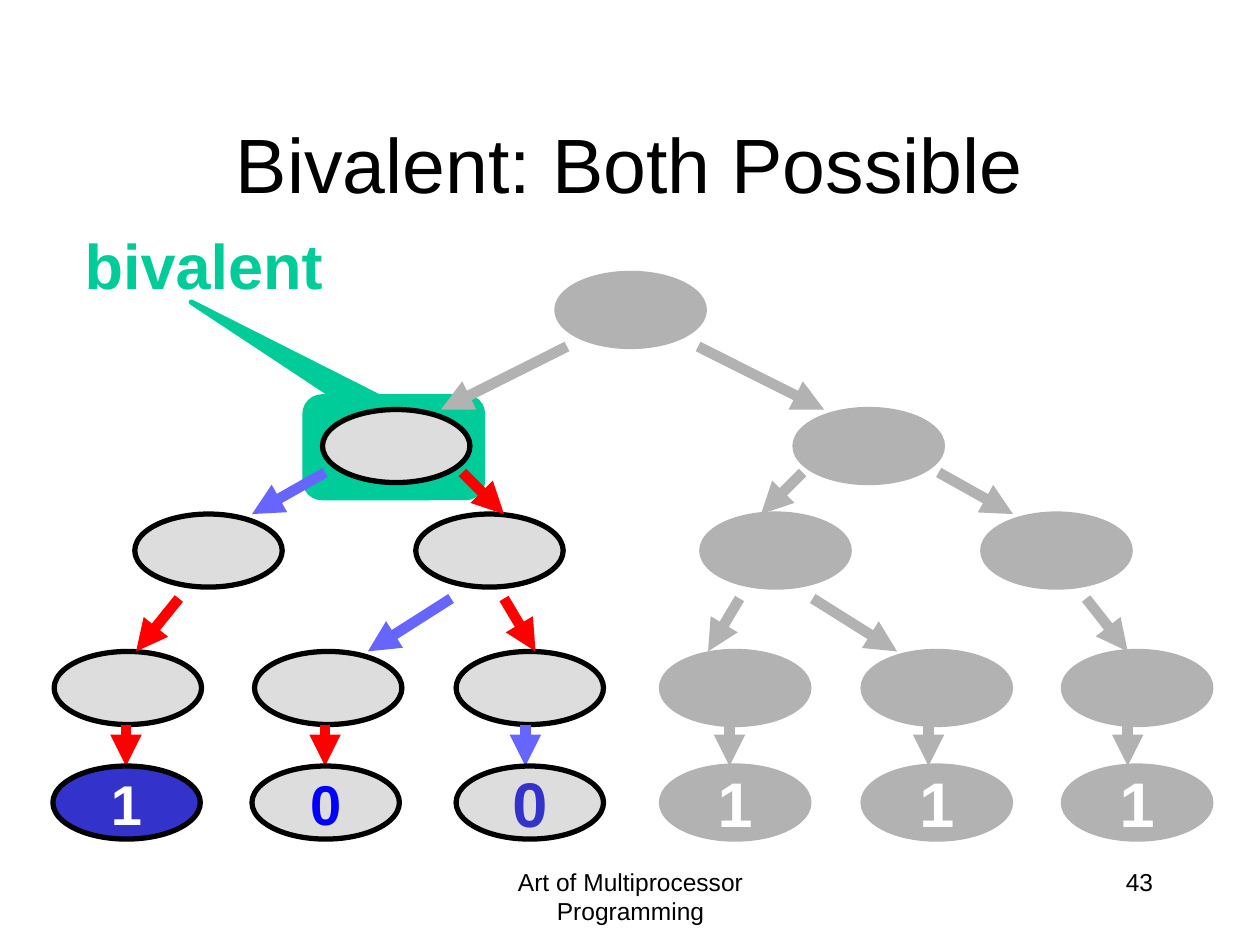
"""Build the slide that shows a bivalent state in a binary protocol tree."""
from dataclasses import dataclass
from typing import Any, Optional

import lxml.etree
import pptx
import pptx.dml.color
import pptx.enum.shapes
import pptx.enum.text
import pptx.oxml.ns
import pptx.util

EMU_PER_PX = 9144
NODE_WIDTH, NODE_HEIGHT = 117, 58
ALIGN = pptx.enum.text.PP_ALIGN
SHAPE = pptx.enum.shapes.MSO_SHAPE


@dataclass(frozen=True)
class Theme:
    font: str = "Arial"
    black: str = "000000"
    white: str = "FFFFFF"
    faded: str = "B2B2B2"
    node: str = "DDDDDD"
    accent: str = "00CC99"
    red: str = "FF0000"
    violet: str = "6666FF"
    navy: str = "3333CC"
    blue: str = "0000FF"
    title_size: int = 44
    large_size: int = 36
    leaf_size: int = 32
    footer_size: int = 14
    outline: int = 3
    arrow: int = 6


THEME = Theme()


@dataclass(frozen=True)
class Node:
    left: int
    top: int
    fill: str = THEME.faded
    outline: str = THEME.faded
    label: str = ""
    label_color: str = THEME.white
    label_size: int = THEME.large_size


@dataclass(frozen=True)
class Arrow:
    start_x: int
    end_x: int
    start_y: int
    end_y: int
    color: str = THEME.faded


def live(left: int, top: int, fill: str = THEME.node, **label: Any) -> Node:
    """Describe a node in the highlighted half of the tree."""
    return Node(left, top, fill, THEME.black, **label)


def level(start_y: int, end_y: int, *steps: tuple) -> list[Arrow]:
    """Describe the arrows between two levels as (start x, end x, color)."""
    return [Arrow(start, end, start_y, end_y, color) for start, end, color in steps]


NODES = [
    Node(442, 217),
    live(256, 325), Node(631, 325),
    live(107, 408), live(330, 408), Node(557, 408), Node(780, 408),
    *(live(left, 517) for left in (43, 202, 362)),
    *(Node(left, 517) for left in (525, 685, 844)),
    *(Node(left, 608, label="1") for left in (525, 685, 844)),
]
DECIDED_LEAVES = [
    live(42, 608, THEME.navy, label="1", label_size=THEME.leaf_size),
    live(200, 608, label="0", label_color=THEME.blue, label_size=THEME.leaf_size),
    live(362, 608, label="0", label_color=THEME.navy),
]
ARROWS = [
    *level(275, 325, (450, 350, THEME.faded), (554, 654, THEME.faded)),
    *level(375, 408, (258, 200, THEME.violet), (367, 400, THEME.red),
           (637, 604, THEME.faded), (745, 804, THEME.faded)),
    *level(475, 517, (142, 108, THEME.red), (358, 292, THEME.violet),
           (400, 425, THEME.red), (587, 562, THEME.faded),
           (645, 712, THEME.faded), (862, 895, THEME.faded)),
    *level(575, 608, (100, 100, THEME.red), (258, 258, THEME.red),
           (417, 417, THEME.violet), (579, 579, THEME.faded),
           (737, 737, THEME.faded), (895, 895, THEME.faded)),
]


def px(length: int) -> pptx.util.Emu:
    """Turn a length in px into EMU."""
    return pptx.util.Emu(length * EMU_PER_PX)


def rgb(color: str) -> pptx.dml.color.RGBColor:
    """Turn a hexadecimal string into a color."""
    return pptx.dml.color.RGBColor.from_string(color)


def write_text(shape: Any, text: str, *, size: int, color: str = THEME.black,
               bold: bool = False, align: Any = ALIGN.CENTER,
               wrap: bool = True, anchor: Optional[Any] = None) -> None:
    """Fill a shape with one formatted paragraph."""
    frame = shape.text_frame
    frame.word_wrap = wrap
    if anchor is not None:
        frame.vertical_anchor = anchor
    paragraph = frame.paragraphs[0]
    paragraph.alignment = align
    run = paragraph.add_run()
    run.text = text
    run.font.name = THEME.font
    run.font.size = pptx.util.Pt(size)
    run.font.bold = bold
    run.font.color.rgb = rgb(color)


def add_text(slide: Any, text: str, left: int, top: int, width: int, height: int,
             **text_format: Any) -> Any:
    """Add a text box and return it."""
    box = slide.shapes.add_textbox(px(left), px(top), px(width), px(height))
    write_text(box, text, **text_format)
    return box


def add_filled(slide: Any, kind: Any, left: int, top: int, width: int, height: int,
               fill: str, outline: str) -> Any:
    """Add a flat preset shape and return it."""
    shape = slide.shapes.add_shape(kind, px(left), px(top), px(width), px(height))
    shape.shadow.inherit = False
    shape.fill.solid()
    shape.fill.fore_color.rgb = rgb(fill)
    shape.line.color.rgb = rgb(outline)
    shape.line.width = pptx.util.Pt(THEME.outline)
    return shape


def draw_node(slide: Any, node: Node) -> None:
    """Draw one state of the tree, with its decision if it has one."""
    shape = add_filled(slide, SHAPE.OVAL, node.left, node.top, NODE_WIDTH,
                       NODE_HEIGHT, node.fill, node.outline)
    if node.label:
        write_text(shape, node.label, size=node.label_size, color=node.label_color,
                   bold=True, wrap=False, anchor=pptx.enum.text.MSO_ANCHOR.MIDDLE)


def draw_arrow(slide: Any, arrow: Arrow) -> None:
    """Draw one step between two states."""
    connector = slide.shapes.add_connector(
        pptx.enum.shapes.MSO_CONNECTOR.STRAIGHT, px(arrow.start_x),
        px(arrow.start_y), px(arrow.end_x), px(arrow.end_y))
    connector.line.color.rgb = rgb(arrow.color)
    connector.line.width = pptx.util.Pt(THEME.arrow)
    qualify = pptx.oxml.ns.qn
    line = connector.line._get_or_add_ln()
    lxml.etree.SubElement(line, qualify("a:tailEnd"), type="triangle")
    lxml.etree.SubElement(connector._element.spPr, qualify("a:effectLst"))


def main() -> None:
    """Build and save the presentation."""
    presentation = pptx.Presentation()
    presentation.slide_width, presentation.slide_height = px(1000), px(750)
    slide = presentation.slides.add_slide(presentation.slide_layouts[5])

    title = slide.shapes.title
    title.left, title.top, title.width, title.height = px(75), px(67), px(850), px(125)
    write_text(title, "Bivalent: Both Possible", size=THEME.title_size,
               anchor=pptx.enum.text.MSO_ANCHOR.MIDDLE)

    callout = add_filled(slide, SHAPE.ROUNDED_RECTANGULAR_CALLOUT, 242, 315, 141, 80,
                         THEME.accent, THEME.accent)
    for index, value in enumerate((-1.14, -1.44, 0.17)):
        callout.adjustments[index] = value

    for node in NODES:
        draw_node(slide, node)
    for arrow in ARROWS:
        draw_arrow(slide, arrow)
    for node in DECIDED_LEAVES:
        draw_node(slide, node)

    label = add_text(slide, "bivalent", 55, 175, 211, 71, size=THEME.large_size,
                     color=THEME.accent, bold=True, align=ALIGN.RIGHT, wrap=False)
    label.text_frame.auto_size = pptx.enum.text.MSO_AUTO_SIZE.SHAPE_TO_FIT_TEXT
    add_text(slide, "Art of Multiprocessor Programming", 342, 683, 317, 50,
             size=THEME.footer_size)
    add_text(slide, "43", 717, 683, 208, 50, size=THEME.footer_size, align=ALIGN.RIGHT)
    presentation.save("out.pptx")


if __name__ == "__main__":
    main()
